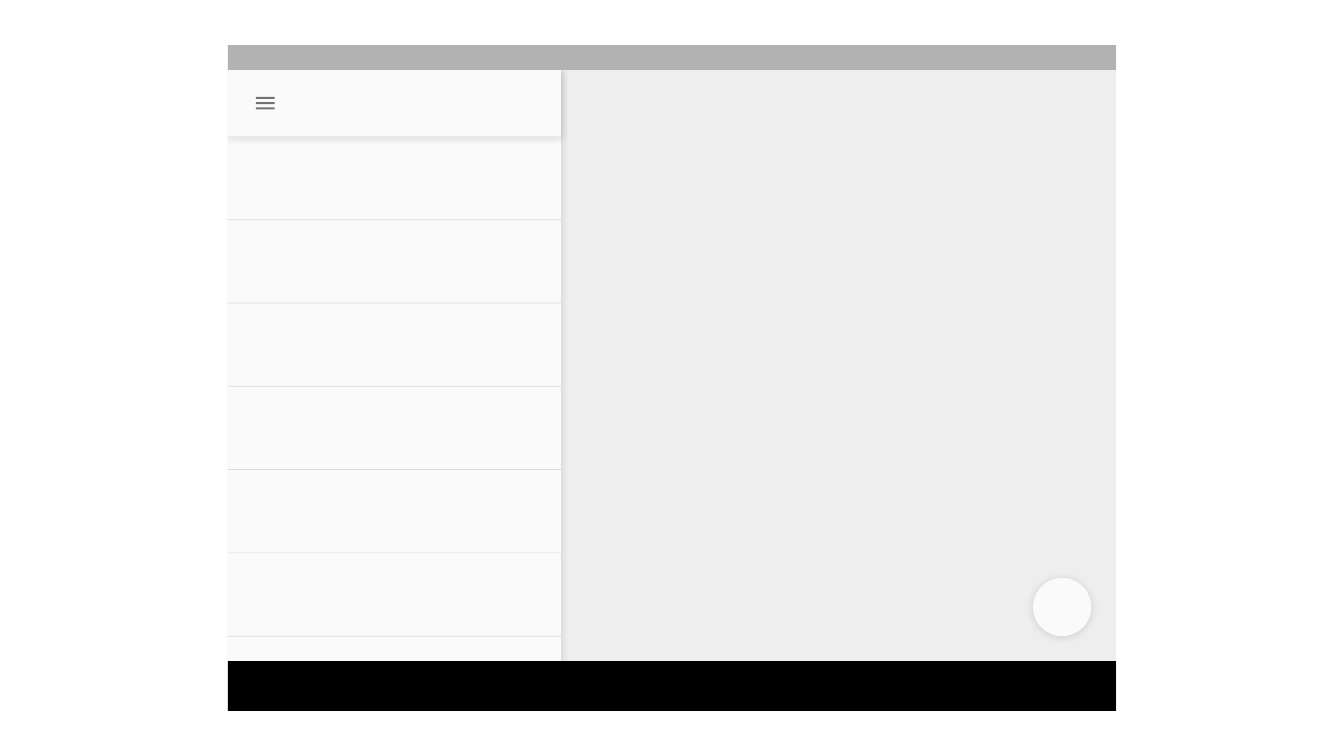
from lxml import etree
from pptx import Presentation
from pptx.dml.color import RGBColor
from pptx.enum.shapes import MSO_CONNECTOR as LINK, MSO_SHAPE as SHAPE
from pptx.oxml.ns import qn
from pptx.util import Inches, Pt

WIDE, HIGH = 13.33, 7.5
DP = 6.61 / 640                  # inches in one unit of the device grid
COLS, ROWS = 853.33, 640         # device screen, in units
LEFT = (WIDE / DP - COLS) / 2    # margins around the screen, in units
TOP = (HIGH / DP - ROWS) / 2
STATUS, TOOL, NAV = 24, 64, 48   # bar heights
PANE, ROW = 320, 80              # list width and row height
FAB, GAP = 56, 24                # round button and its margin
PAPER = "FAFAFA"


def dp(size):
    return Inches(size * DP)


def color(code):
    return RGBColor.from_string(code)


def fade(fill, share):
    """Set the opacity of a solid fill, in percent."""
    for tint in fill._xPr.iter(qn("a:srgbClr")):
        etree.SubElement(tint, qn("a:alpha")).set("val", str(share * 1000))


def lift(shape):
    """Cast a soft shadow straight down."""
    effects = shape._element.spPr.find(qn("a:effectLst"))
    cast = etree.SubElement(effects, qn("a:outerShdw"), blurRad=str(Pt(6)),
                            dist=str(Pt(1)), dir="5400000", algn="t", rotWithShape="0")
    tint = etree.SubElement(cast, qn("a:srgbClr"), val="000000")
    etree.SubElement(tint, qn("a:alpha"), val="12000")


def paint(shape, code):
    shape.shadow.inherit = False
    shape.fill.solid()
    shape.fill.fore_color.rgb = color(code)
    shape.line.fill.background()


def block(shapes, x, y, w, h, code, kind=SHAPE.RECTANGLE):
    """Add a plain filled shape, placed from the screen's top left corner."""
    shape = shapes.add_shape(kind, dp(LEFT + x), dp(TOP + y), dp(w), dp(h))
    paint(shape, code)
    return shape


def rule(shapes, y):
    """Add a thin divider across the list."""
    line = shapes.add_connector(LINK.STRAIGHT, dp(LEFT), dp(TOP + y),
                                dp(LEFT + PANE), dp(TOP + y))
    line.line.width = Pt(0.5)
    line.line.color.rgb = color("000000")
    fade(line.line.fill, 12)
    etree.SubElement(line._element.spPr, qn("a:effectLst"))


def menu(shapes, x, y):
    """Add the three-bar menu icon as one outline."""
    x, y = LEFT + x, TOP + y
    pen = shapes.build_freeform(dp(x), dp(y))
    for step in range(3):
        top = y + 5 * step
        if step:
            pen.move_to(dp(x), dp(top))
        pen.add_line_segments([(dp(x + 18), dp(top)), (dp(x + 18), dp(top + 2)),
                               (dp(x), dp(top + 2))], close=True)
    icon = pen.convert_to_shape()
    paint(icon, "000000")
    fade(icon.fill, 54)


def pane(shapes):
    """Add the list with its dividers and toolbar."""
    group = shapes.add_group_shape().shapes
    lift(block(group, 0, STATUS, PANE, ROWS - STATUS, PAPER))
    for row in range(1, 7):
        rule(group, STATUS + TOOL + row * ROW)
    bar = block(shapes, 0, STATUS, PANE, TOOL, PAPER, SHAPE.ROUNDED_RECTANGLE)
    bar.adjustments[0] = 0.006
    lift(bar)
    menu(shapes, 27, STATUS + 26)


def frame(shapes):
    """Add the white margins that trim the shadows at the screen's edge."""
    group = shapes.add_group_shape().shapes
    for y in (ROWS, -TOP):
        block(group, -LEFT, y, COLS + 2 * LEFT, TOP, "FFFFFF")
    for x in (-LEFT, COLS):
        block(group, x, 0, LEFT, ROWS, "FFFFFF")


def main():
    deck = Presentation()
    deck.slide_width, deck.slide_height = Inches(WIDE), Inches(HIGH)
    shapes = deck.slides.add_slide(deck.slide_layouts[6]).shapes
    block(shapes, 0, 0, COLS, ROWS, "EEEEEE")
    pane(shapes)
    lift(block(shapes, COLS - GAP - FAB, ROWS - NAV - GAP - FAB, FAB, FAB,
               PAPER, SHAPE.OVAL))
    block(shapes, 0, 0, COLS, STATUS, "B2B2B2")
    block(shapes, 0, ROWS - NAV, COLS, NAV, "000000")
    frame(shapes)
    deck.save("out.pptx")


if __name__ == "__main__":
    main()
